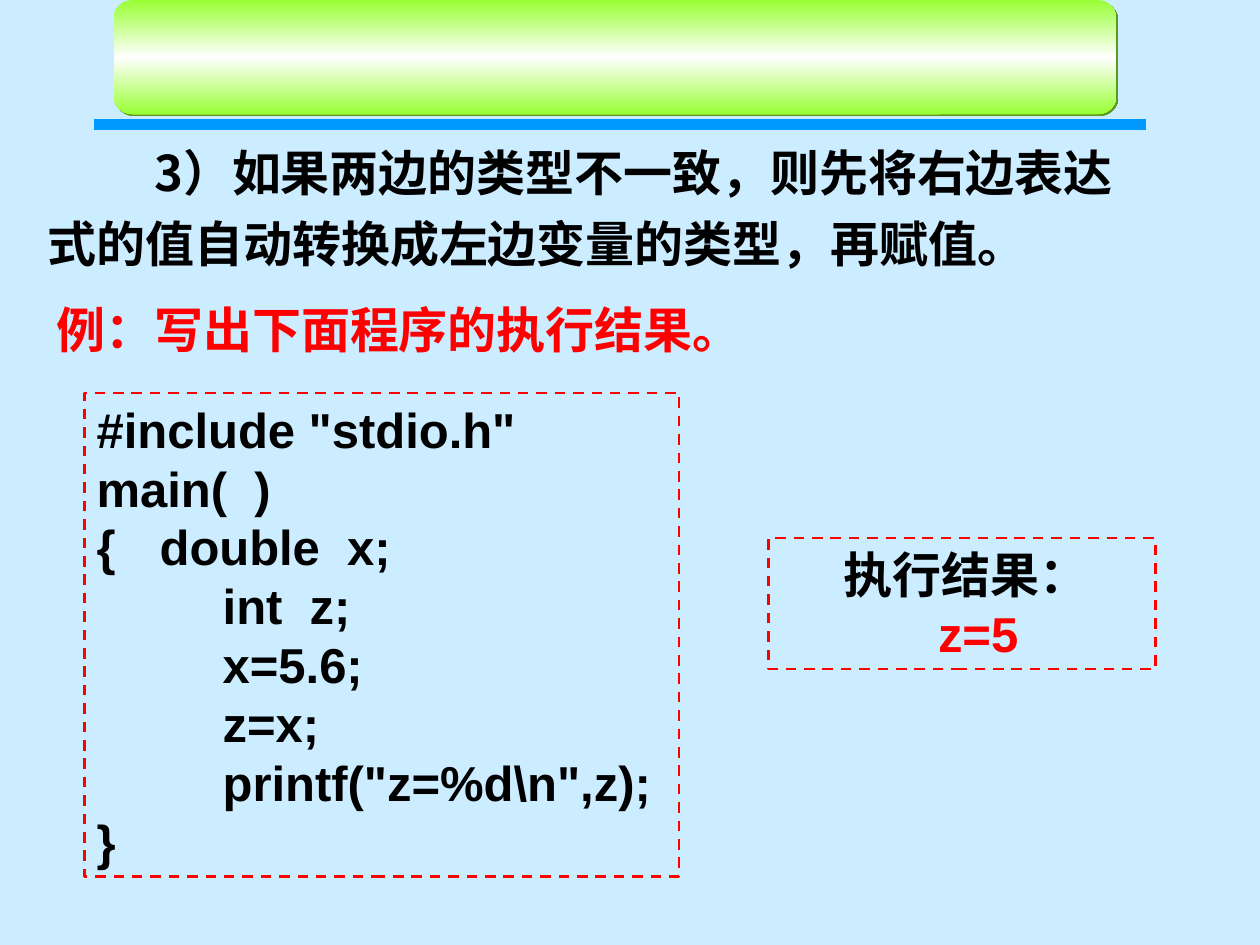
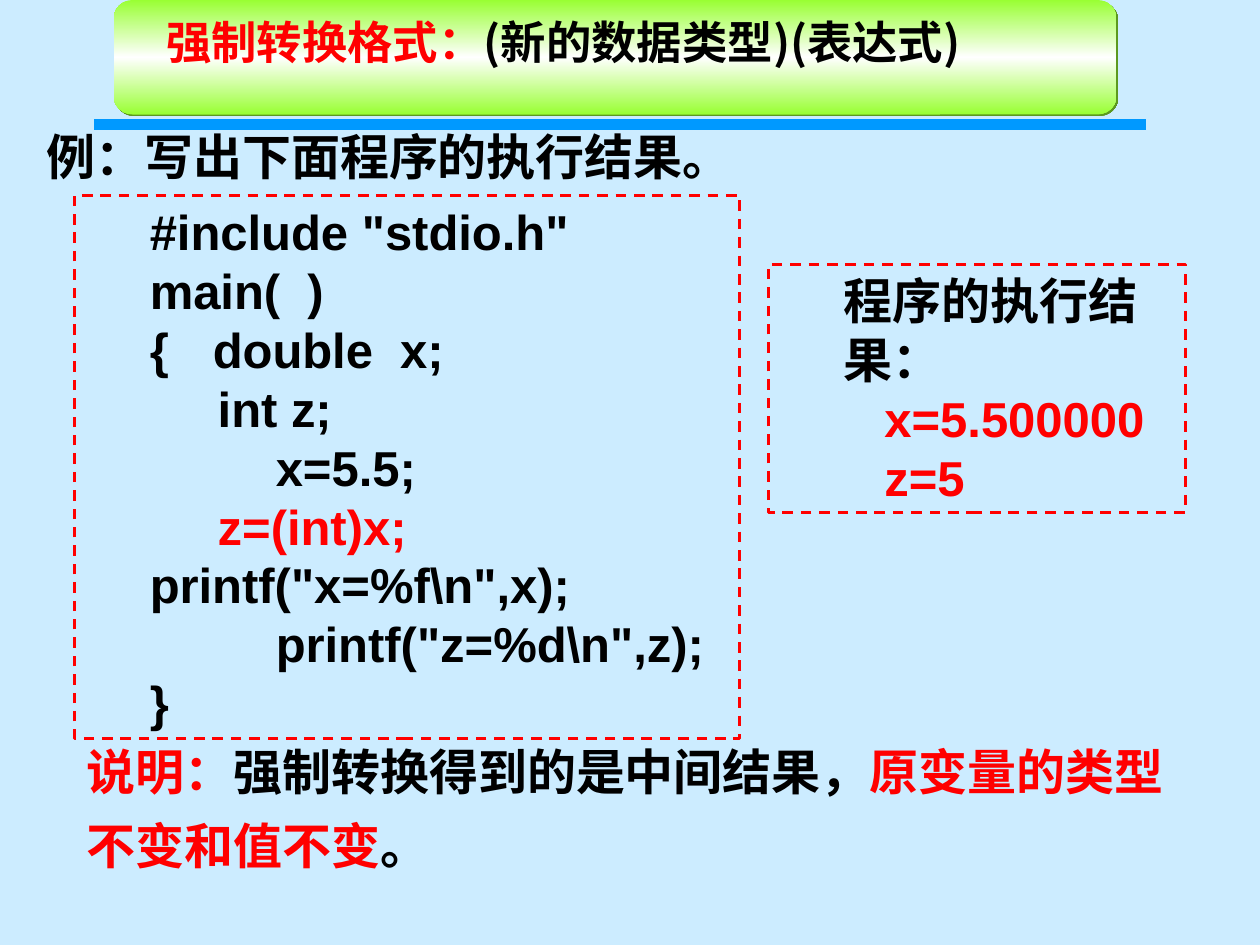
from lxml.etree import SubElement
from pptx import Presentation
from pptx.dml.color import RGBColor
from pptx.enum.dml import MSO_LINE_DASH_STYLE as Dash
from pptx.enum.shapes import MSO_CONNECTOR as Conn, MSO_SHAPE as Shape
from pptx.enum.text import MSO_ANCHOR as Anchor, MSO_AUTO_SIZE as AutoSize, PP_ALIGN as Align
from pptx.oxml import parse_xml
from pptx.oxml.ns import nsdecls, qn
from pptx.util import Cm, Pt

SKY, BLUE, LIME, SHADE = "CCECFF", "0099FF", "99FF33", "5C991F"
BLACK, RED, WHITE = "000000", "FF0000", "FFFFFF"
CJK, LATIN = "Noto Sans CJK SC", "Arial"
TAB = 2.54
EXAMPLE = "例：写出下面程序的执行结果。"


def rgb(color):
    return RGBColor.from_string(color)


def cm_box(box):
    return [Cm(v) for v in box]


def set_attrs(obj, **values):
    for name, value in values.items():
        setattr(obj, name, value)


def place(shape, box):
    set_attrs(shape, **dict(zip(("left", "top", "width", "height"), cm_box(box))))
    return shape


def prepare_frame(shape):
    tf = shape.text_frame
    set_attrs(tf, word_wrap=True, auto_size=AutoSize.NONE, vertical_anchor=Anchor.TOP,
              margin_left=Cm(0.25), margin_right=Cm(0.25),
              margin_top=Cm(0.13), margin_bottom=Cm(0.13))
    return tf


def write(p, runs, font=CJK, size=28, spacing=1.0, before=0, left=0, first=0):
    """Fill a paragraph with (text, colour) runs; left and first are indents in cm."""
    set_attrs(p, alignment=Align.LEFT, line_spacing=spacing, space_before=Pt(before))
    pPr = p._p.get_or_add_pPr()
    pPr.set("marL", str(Cm(left)))
    pPr.set("indent", str(Cm(first)))
    SubElement(pPr, qn("a:buNone"))
    tabs = SubElement(pPr, qn("a:tabLst"))
    SubElement(tabs, qn("a:tab"), pos=str(Cm(TAB)), algn="l")
    for text, color in runs:
        r = p.add_run()
        r.text = text
        set_attrs(r.font, name=font, size=Pt(size), bold=True)
        r.font.color.rgb = rgb(color)
        SubElement(r._r.get_or_add_rPr(), qn("a:ea"), typeface=CJK)


def paragraph(shape, runs, **fmt):
    write(prepare_frame(shape).paragraphs[0], runs, before=7, **fmt)


def example(s, left, top, color):
    box = s.shapes.add_textbox(*cm_box((left, top, 21.21, 1.91)))
    paragraph(box, [(EXAMPLE, color)], spacing=1.25)


def dashed_box(s, box, lines, margin=0):
    """Red dashed frame; each line is (indent in cm, text, colour)."""
    sp = s.shapes.add_shape(Shape.RECTANGLE, *cm_box(box))
    sp.shadow.inherit = False
    sp.fill.background()
    set_attrs(sp.line, width=Pt(1.5), dash_style=Dash.DASH)
    sp.line.color.rgb = rgb(RED)
    tf = prepare_frame(sp)
    for i, (indent, text, color) in enumerate(lines):
        p = tf.add_paragraph() if i else tf.paragraphs[0]
        write(p, [(text, color)], font=LATIN, left=margin + indent)


def decorate_master(prs, s):
    """Give the master its background, blue rule and gradient title band."""
    master = prs.slide_master
    master.background.fill.solid()
    master.background.fill.fore_color.rgb = rgb(SKY)

    rule = s.shapes.add_connector(Conn.STRAIGHT, *cm_box((1.9, 2.51, 23.11, 2.51)))
    rule.line.width = Pt(6)
    rule.line.color.rgb = rgb(BLUE)
    SubElement(rule._element.spPr, qn("a:effectLst"))

    band = s.shapes.add_shape(Shape.ROUNDED_RECTANGLE, *cm_box((2.29, 0, 20.22, 2.31)))
    spPr = band._element.spPr
    stops = "".join(f'<a:gs pos="{pos}"><a:srgbClr val="{color}"/></a:gs>'
                    for pos, color in ((0, LIME), (50000, WHITE), (100000, LIME)))
    spPr.append(parse_xml(f'<a:gradFill {nsdecls("a")}><a:gsLst>{stops}</a:gsLst>'
                          '<a:lin ang="5400000" scaled="0"/></a:gradFill>'))
    band.line.fill.background()
    spPr.append(parse_xml(f'<a:effectLst {nsdecls("a")}><a:outerShdw dist="{Pt(1.4)}" '
                          f'dir="2700000"><a:srgbClr val="{SHADE}"/></a:outerShdw></a:effectLst>'))
    for i, part in enumerate((rule, band)):
        master.shapes.element.insert(2 + i, part._element)


def implicit_conversion(s):
    title = s.shapes.title._element
    title.getparent().remove(title)
    rule = "3）如果两边的类型不一致，则先将右边表达式的值自动转换成左边变量的类型，再赋值。"
    paragraph(place(s.placeholders[1], (0.71, 2.51, 22.81, 3.1)), [(rule, BLACK)],
              spacing=1.2, first=2.15)
    dashed_box(s, (1.7, 7.92, 11.99, 9.75), [
        (0, '#include "stdio.h"', BLACK),
        (0, "main(  )", BLACK),
        (0, "{\tdouble  x;", BLACK),
        (TAB, "int  z;", BLACK),
        (TAB, "x=5.6;", BLACK),
        (TAB, "z=x;", BLACK),
        (TAB, r'printf("z=%d\n",z);', BLACK),
        (0, "}", BLACK)])
    dashed_box(s, (15.49, 10.85, 7.8, 2.64),
               [(0, "执行结果：", BLACK), (1.9, "z=5", RED)], margin=1.27)
    example(s, 0.89, 5.61, RED)


def explicit_conversion(s):
    paragraph(place(s.shapes.title, (3.1, 0, 19.2, 1.91)),
              [("强制转换格式：", RED), ("(新的数据类型)(表达式)", BLACK)],
              size=25.9, spacing=1.15)
    paragraph(place(s.placeholders[1], (1.5, 14.53, 23.01, 3.23)),
              [("说明：", RED), ("强制转换得到的是中间结果，", BLACK),
               ("原变量的类型不变和值不变", RED), ("。", BLACK)], spacing=1.25)
    dashed_box(s, (1.5, 3.94, 13.41, 10.95), [
        (0, '#include "stdio.h"', BLACK),
        (0, "main(  )", BLACK),
        (0, "{\tdouble  x;", BLACK),
        (1.37, "int z;", BLACK),
        (TAB, "x=5.5;", BLACK),
        (1.37, "z=(int)x;", RED),
        (0, r'printf("x=%f\n",x);', BLACK),
        (TAB, r'printf("z=%d\n",z);', BLACK),
        (0, "}", BLACK)], margin=1.27)
    dashed_box(s, (15.49, 5.33, 8.41, 5),
               [(0, "程序的执行结果：", BLACK), (0.82, "x=5.500000", RED),
                (0.82, "z=5", RED)], margin=1.27)
    example(s, 0.69, 2.13, BLACK)


def main():
    prs = Presentation()
    set_attrs(prs, slide_width=Cm(25.4), slide_height=Cm(19.05))
    layout = prs.slide_layouts[1]
    slides = [prs.slides.add_slide(layout) for _ in range(2)]
    decorate_master(prs, slides[0])
    implicit_conversion(slides[0])
    explicit_conversion(slides[1])
    prs.save("out.pptx")


if __name__ == "__main__":
    main()
